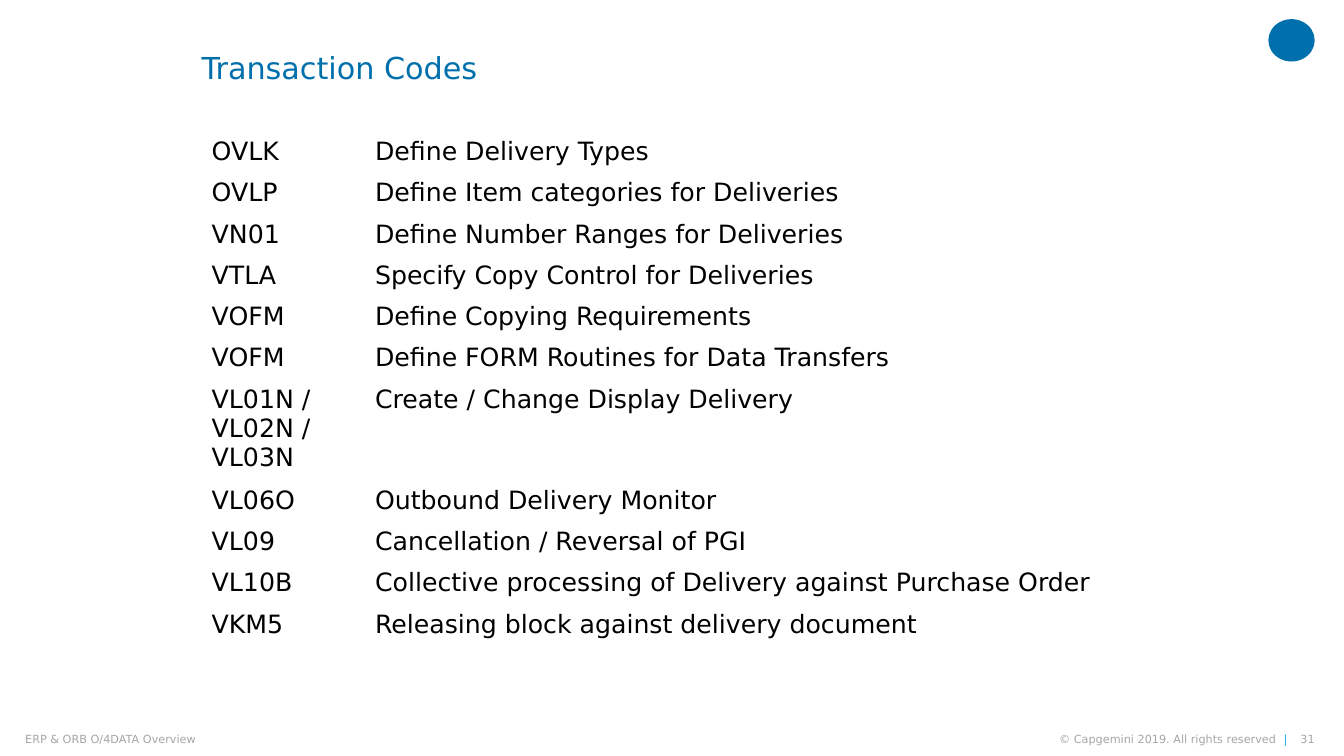
from pptx import Presentation
from pptx.dml.color import RGBColor
from pptx.enum.shapes import MSO_SHAPE as Shape
from pptx.enum.text import MSO_ANCHOR as Anchor, MSO_AUTO_SIZE as AutoSize, PP_ALIGN as Align
from pptx.util import Inches, Pt

FONT = "DejaVu Sans"
BLUE, CYAN, GREY, BLACK, WHITE = "0070AD", "12ABDB", "A6A6A6", "000000", "FFFFFF"

TRANSACTIONS = [
    ("OVLK", "Define Delivery Types"),
    ("OVLP", "Define Item categories for Deliveries"),
    ("VN01", "Define Number Ranges for Deliveries"),
    ("VTLA", "Specify Copy Control for Deliveries"),
    ("VOFM", "Define Copying Requirements"),
    ("VOFM", "Define FORM Routines for Data Transfers"),
    ("VL01N / VL02N / VL03N", "Create / Change Display Delivery"),
    ("VL06O", "Outbound Delivery Monitor"),
    ("VL09", "Cancellation / Reversal of PGI"),
    ("VL10B", "Collective processing of Delivery against Purchase Order"),
    ("VKM5", "Releasing block against delivery document"),
]
CODE_WIDTH = 1.62
ROW_HEIGHT, TALL_ROW_HEIGHT = 0.41, 1.0


def rgb(color):
    return RGBColor.from_string(color)


def add_run(paragraph, text, size, color):
    run = paragraph.add_run()
    run.text = text
    run.font.name = FONT
    run.font.size = Pt(size)
    run.font.bold = False
    run.font.color.rgb = rgb(color)


def set_frame(text_frame, anchor, top_inset=0):
    text_frame.word_wrap = True
    text_frame.auto_size = AutoSize.NONE
    text_frame.vertical_anchor = anchor
    text_frame.margin_left = text_frame.margin_right = text_frame.margin_bottom = 0
    text_frame.margin_top = Inches(top_inset)


def add_title(slide, left, top, width, height):
    title = slide.shapes.title
    title.left, title.top = Inches(left), Inches(top)
    title.width, title.height = Inches(width), Inches(height)
    set_frame(title.text_frame, Anchor.TOP, top_inset=0.2)
    paragraph = title.text_frame.paragraphs[0]
    paragraph.alignment = Align.LEFT
    paragraph.line_spacing = 0.9
    add_run(paragraph, "Transaction Codes", 21.6, BLUE)


def add_transaction_table(slide, left, top, width):
    heights = [TALL_ROW_HEIGHT if "/" in code else ROW_HEIGHT for code, _ in TRANSACTIONS]
    table = slide.shapes.add_table(
        len(TRANSACTIONS), 2, Inches(left), Inches(top), Inches(width), Inches(sum(heights))
    ).table
    table.first_row = table.horz_banding = False
    table.columns[0].width = Inches(CODE_WIDTH)
    table.columns[1].width = Inches(width - CODE_WIDTH)
    for row, height, texts in zip(table.rows, heights, TRANSACTIONS):
        row.height = Inches(height)
        for cell, text in zip(row.cells, texts):
            cell.fill.solid()
            cell.fill.fore_color.rgb = rgb(WHITE)
            add_run(cell.text_frame.paragraphs[0], text, 18, BLACK)


def add_footer_text(slide, left, top, width, height, alignment, runs):
    box = slide.shapes.add_textbox(Inches(left), Inches(top), Inches(width), Inches(height))
    set_frame(box.text_frame, Anchor.MIDDLE)
    paragraph = box.text_frame.paragraphs[0]
    paragraph.alignment = alignment
    for text, color in runs:
        add_run(paragraph, text, 8, color)


def add_footer(slide, left, top, width, height):
    right = left + width
    add_footer_text(slide, left, top, 5.16, height, Align.LEFT,
                    [("ERP & ORB O/4DATA Overview", GREY)])
    add_footer_text(slide, right - 3.18, top, 2.91, height, Align.RIGHT,
                    [("© Capgemini 2019. All rights reserved  ", GREY), ("|", CYAN)])
    add_footer_text(slide, right - 0.19, top, 0.19, height, Align.RIGHT, [("31", GREY)])


def add_corner_mark(slide, left, top, width, height):
    mark = slide.shapes.add_shape(
        Shape.OVAL, Inches(left), Inches(top), Inches(width), Inches(height))
    mark.shadow.inherit = False
    mark.fill.solid()
    mark.fill.fore_color.rgb = rgb(BLUE)
    mark.line.fill.background()


def main():
    presentation = Presentation()
    presentation.slide_width = Inches(13.33)
    presentation.slide_height = Inches(7.5)
    slide = presentation.slides.add_slide(presentation.slide_layouts[5])
    add_corner_mark(slide, 12.58, 0.19, 0.46, 0.42)
    add_footer(slide, 0.25, 7.27, 12.79, 0.13)
    add_transaction_table(slide, 2, 1.31, 9.52)
    add_title(slide, 2, 0.33, 9.31, 0.58)
    presentation.save("out.pptx")


if __name__ == "__main__":
    main()
